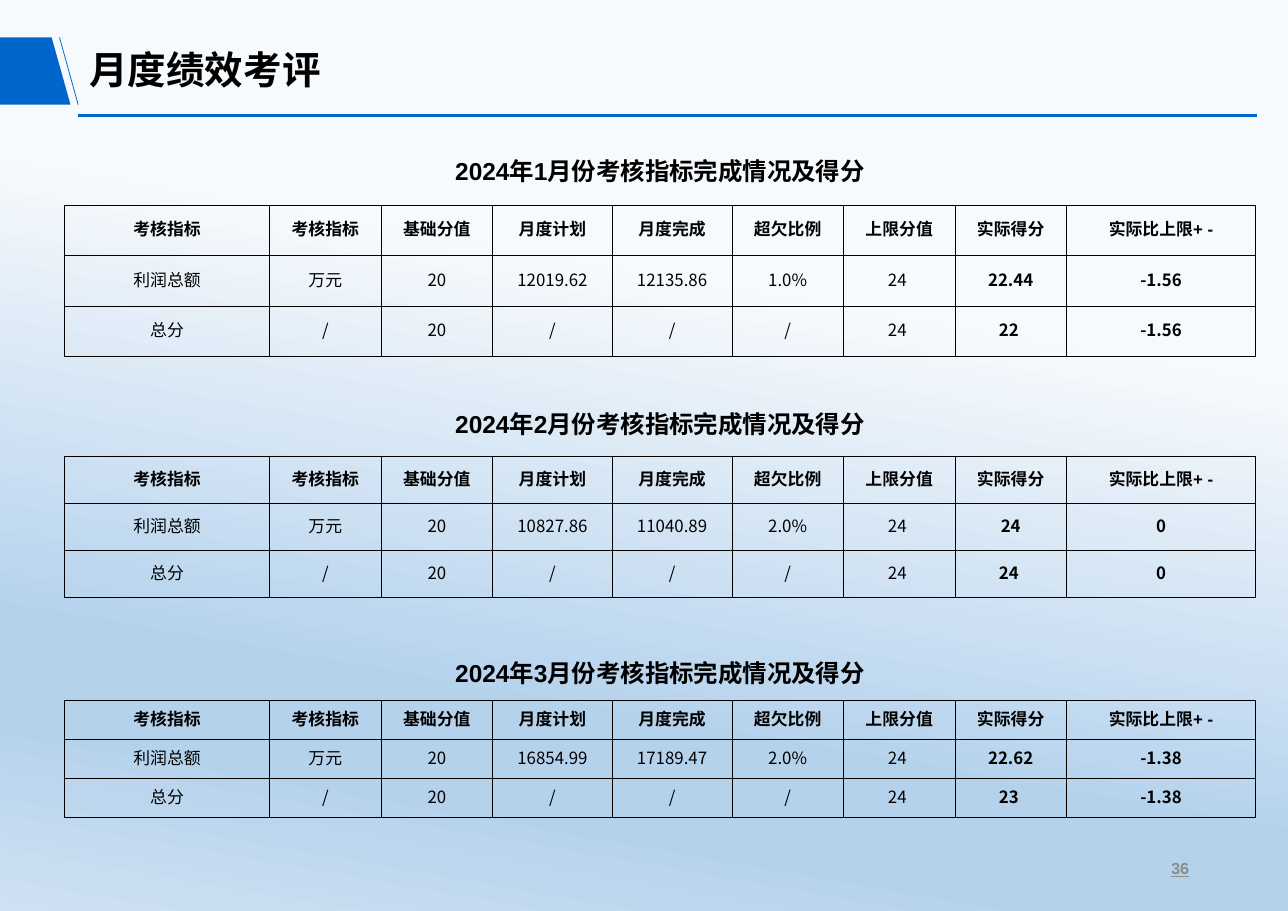
from lxml.etree import SubElement
from pptx import Presentation
from pptx.dml.color import RGBColor
from pptx.enum.shapes import MSO_CONNECTOR
from pptx.enum.text import MSO_ANCHOR, MSO_AUTO_SIZE, PP_ALIGN
from pptx.oxml.ns import qn
from pptx.util import Pt

BLUE, BLACK, GREY = "0066CC", "000000", "8C8C8C"
LATIN, CHINESE = "Arial", "Noto Sans CJK SC"
BACKGROUND = [(33, "F7FAFD"), (74, "B5D2EC"), (83, "B5D2EC"), (100, "CEE1F2")]

TABLE_LEFT = 42.2
COLUMNS = [134, 72.9, 72.9, 78.2, 78.2, 72.9, 72.9, 72.9, 123.6]
HEADERS = ["考核指标", "考核指标", "基础分值", "月度计划", "月度完成",
           "超欠比例", "上限分值", "实际得分", "实际比上限+ -"]
FIRST_SCORE_COLUMN = 7

# Top, heading height, row height, then plan, actual, ratio, score, total, gap
MONTHS = [
    (90.7, 43.6, 32.9, "12019.62", "12135.86", "1.0%", "22.44", "22 ", "-1.56"),
    (257.8, 40.5, 30.7, "10827.86", "11040.89", "2.0%", "24", "24 ", "0"),
    (423.4, 34.3, 25.5, "16854.99", "17189.47", "2.0%", "22.62", "23 ", "-1.38"),
]


def colour(value):
    return RGBColor.from_string(value)


def write(para, text, size, name=LATIN, bold=False, shade=BLACK,
          align=PP_ALIGN.CENTER):
    para.text = text
    para.alignment = align
    font = para.font
    font.size, font.name, font.bold = Pt(size), name, bold
    font.color.rgb = colour(shade)
    properties = para._p.pPr.find(qn("a:defRPr"))
    SubElement(properties, qn("a:ea"), typeface=CHINESE)


def paint_background(page):
    fill = page.background.fill
    fill.gradient()
    fill.gradient_angle = 260
    stops = page.element.find(".//" + qn("a:gsLst"))
    stops.clear()
    for position, value in BACKGROUND:
        stop = SubElement(stops, qn("a:gs"), pos=str(position * 1000))
        SubElement(stop, qn("a:srgbClr"), val=value)


def add_line(page, start, end, width):
    ends = [Pt(number) for number in (*start, *end)]
    line = page.shapes.add_connector(MSO_CONNECTOR.STRAIGHT, *ends)
    line.line.color.rgb = colour(BLUE)
    line.line.width = Pt(width)
    SubElement(line._element.spPr, qn("a:effectLst"))


def add_header_mark(page):
    top, bottom = Pt(24.5), Pt(68.4)
    builder = page.shapes.build_freeform(0, top)
    builder.add_line_segments(
        [(Pt(33.8), top), (Pt(46.1), bottom), (0, bottom)], close=True)
    mark = builder.convert_to_shape()
    mark.shadow.inherit = False
    mark.fill.solid()
    mark.fill.fore_color.rgb = colour(BLUE)
    mark.line.fill.background()


def place_title(page, text):
    title = page.shapes.title
    title.left, title.top = Pt(51.1), Pt(26)
    title.width, title.height = Pt(434), Pt(42.5)
    frame = title.text_frame
    frame.auto_size = MSO_AUTO_SIZE.NONE
    frame.vertical_anchor = MSO_ANCHOR.MIDDLE
    para = frame.paragraphs[0]
    write(para, text, 25.2, CHINESE, True, align=PP_ALIGN.LEFT)
    para.line_spacing = 0.9


def add_page_number(page, number):
    box = page.shapes.add_textbox(Pt(594.7), Pt(551.5), Pt(189.4), Pt(31.7))
    frame = box.text_frame
    frame.word_wrap = True
    frame.vertical_anchor = MSO_ANCHOR.MIDDLE
    para = frame.paragraphs[0]
    write(para, number, 10.5, bold=True, shade=GREY, align=PP_ALIGN.RIGHT)
    para.font.underline = True


def format_cell(cell, sides):
    """Draw borders on the given sides only, and clear the fill."""
    properties = cell._tc.get_or_add_tcPr()
    for side in "LRTB":
        border = SubElement(properties, qn("a:ln" + side), w=str(Pt(0.5)))
        if side in sides:
            fill = SubElement(border, qn("a:solidFill"))
            SubElement(fill, qn("a:srgbClr"), val=BLACK)
        else:
            SubElement(border, qn("a:noFill"))
    cell.fill.background()
    cell.vertical_anchor = MSO_ANCHOR.MIDDLE
    cell.margin_left = cell.margin_right = cell.margin_top = Pt(0.7)
    cell.margin_bottom = Pt(3.6)


def add_month_table(page, month, top, heading_height, row_height,
                    plan, actual, ratio, score, total, gap):
    rows = [
        HEADERS,
        ["利润总额", "万元", "20", plan, actual, ratio, "24 ", score, gap],
        ["总分", "/", "20", "/", "/", "/", "24 ", total, gap],
    ]
    heights = [heading_height] + [row_height] * len(rows)
    table = page.shapes.add_table(
        len(heights), len(COLUMNS), Pt(TABLE_LEFT), Pt(top),
        Pt(sum(COLUMNS)), Pt(sum(heights))).table
    table.first_row = table.horz_banding = False
    for column, width in zip(table.columns, COLUMNS):
        column.width = Pt(width)
    for row, height in zip(table.rows, heights):
        row.height = Pt(height)

    # Heading across all columns, ruled only below
    for cell in table.rows[0].cells:
        format_cell(cell, "B")
    heading = table.cell(0, 0)
    heading.merge(table.cell(0, len(COLUMNS) - 1))
    write(heading.text_frame.paragraphs[0],
          f"2024年{month}月份考核指标完成情况及得分", 16, bold=True)

    # Header row and figures
    for r, values in enumerate(rows, 1):
        for c, value in enumerate(values):
            cell = table.cell(r, c)
            format_cell(cell, "LRTB")
            is_label = r == 1 or c == 0 or value == "万元"
            write(cell.text_frame.paragraphs[0], value, 11,
                  LATIN if is_label else CHINESE,
                  bold=r == 1 or c >= FIRST_SCORE_COLUMN)


def main():
    deck = Presentation()
    deck.slide_width, deck.slide_height = Pt(841.7), Pt(595.4)
    page = deck.slides.add_slide(deck.slide_layouts[5])
    paint_background(page)

    # Header
    add_header_mark(page)
    add_line(page, (38.9, 24.5), (51.1, 68.4), 0.5)
    add_line(page, (51.1, 75.6), (821.5, 75.6), 2.25)
    place_title(page, "月度绩效考评")

    # Monthly results
    for month, results in enumerate(MONTHS, 1):
        add_month_table(page, month, *results)

    add_page_number(page, "36")
    deck.save("out.pptx")


if __name__ == "__main__":
    main()
